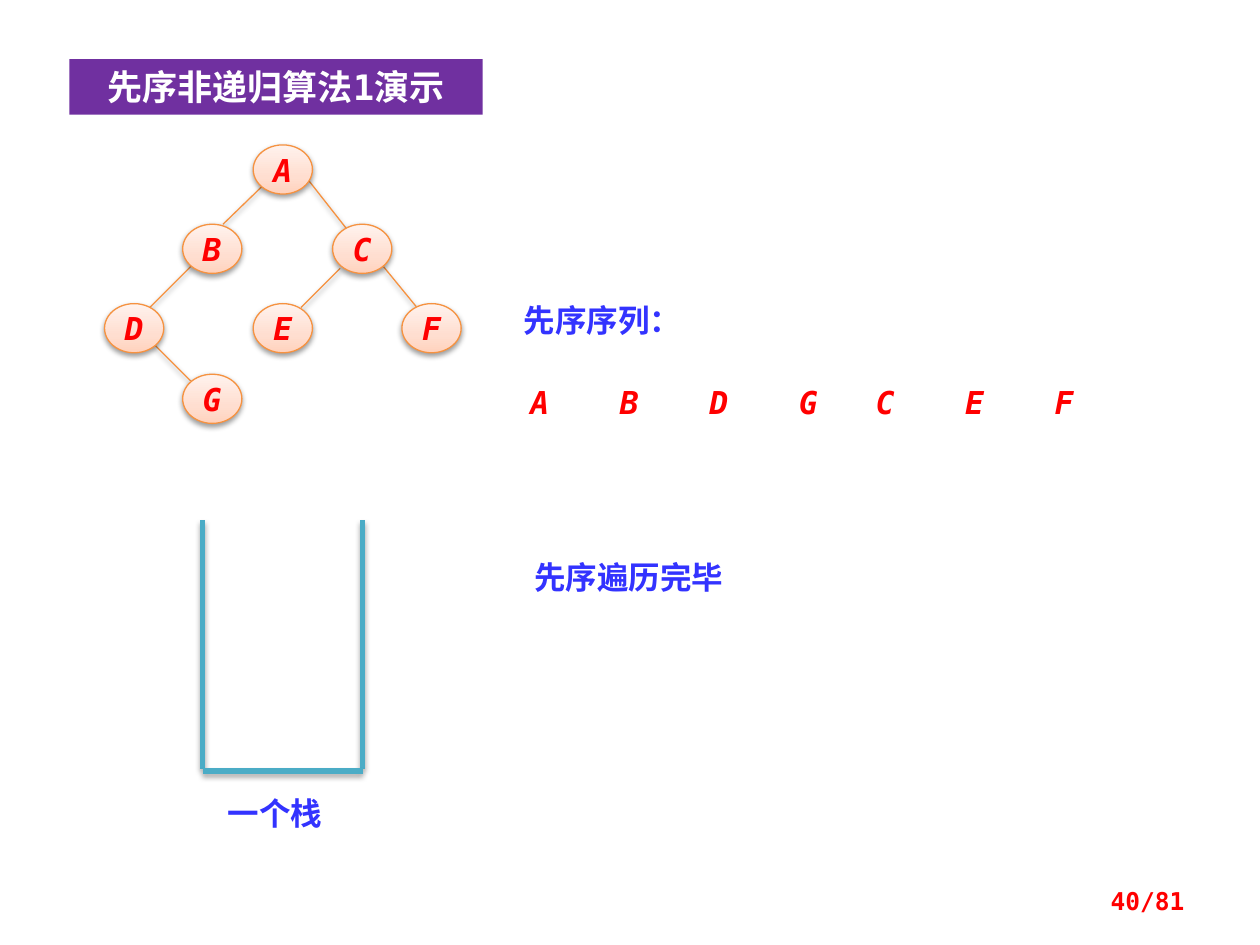
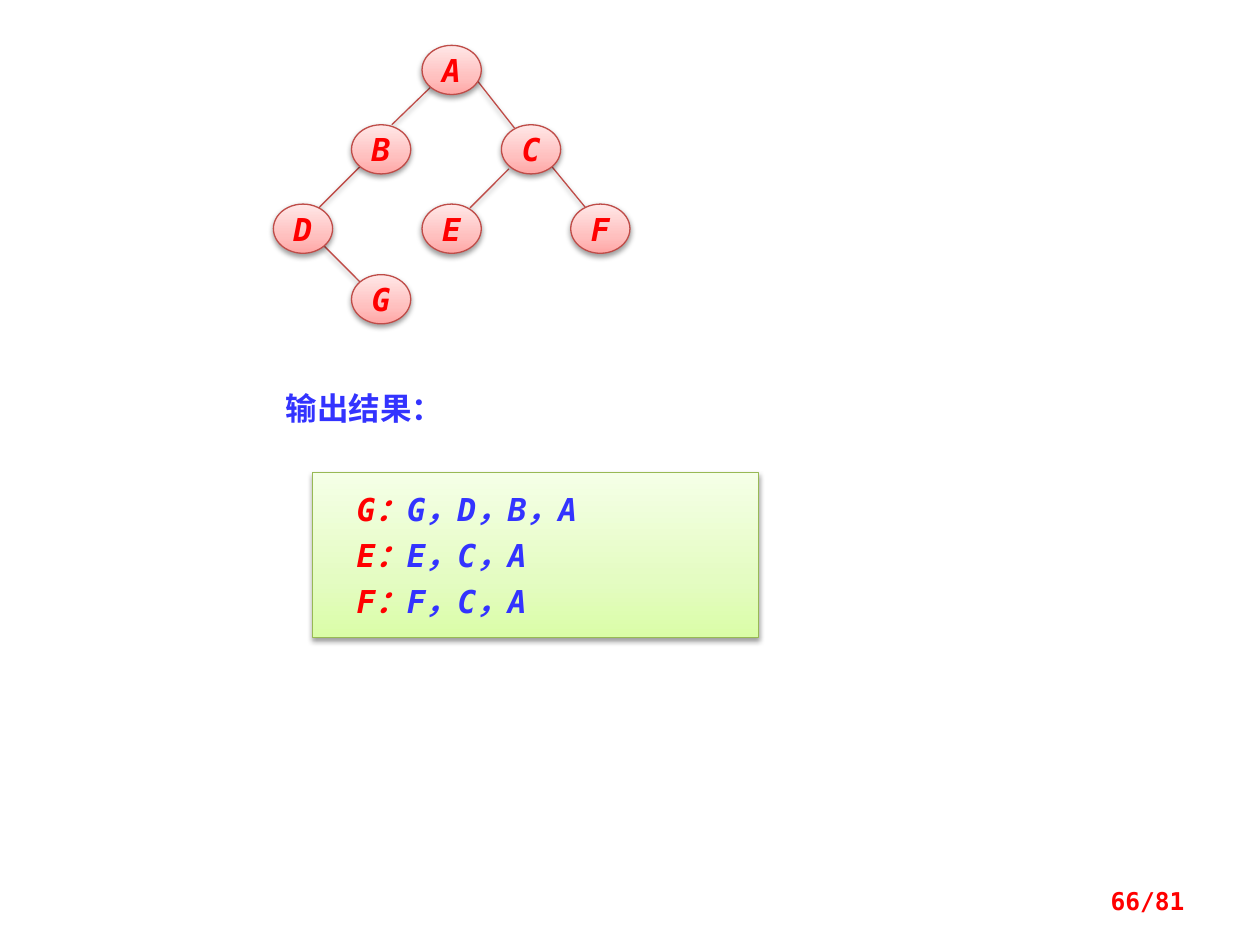
from dataclasses import dataclass

from lxml import etree
from pptx import Presentation
from pptx.dml.color import RGBColor
from pptx.enum.shapes import MSO_CONNECTOR, MSO_SHAPE
from pptx.enum.text import MSO_ANCHOR, PP_ALIGN
from pptx.oxml import parse_xml
from pptx.oxml.ns import nsdecls, qn
from pptx.util import Inches, Pt

LEFT, CENTER, RIGHT = PP_ALIGN.LEFT, PP_ALIGN.CENTER, PP_ALIGN.RIGHT
MIDDLE = MSO_ANCHOR.MIDDLE
STRAIGHT = MSO_CONNECTOR.STRAIGHT
OVAL, RECTANGLE = MSO_SHAPE.OVAL, MSO_SHAPE.RECTANGLE


@dataclass(frozen=True)
class Theme:
    latin: str = "DejaVu Sans Mono"
    chinese: str = "Noto Sans CJK SC"
    blue: str = "3333FF"
    red: str = "FF0000"
    white: str = "FFFFFF"
    purple: str = "7030A0"
    teal: str = "4BACC6"
    title_size: float = 20
    body_size: float = 18
    page_size: float = 14
    thin: float = 0.75
    thick: float = 3
    line_gap: float = 4.5


THEME = Theme()

# Outline, then gradient colours from bottom to top
ORANGE = ("F69240", ("FFD2BD", "FFDED0", "FFF2ED"))
ROSE = ("BF4C48", ("FFA6A5", "FFC0BF", "FFE7E7"))
GREEN = ("98B955", ("DAFDA7", "E4FCC2", "F5FFE7"))
GRADIENT_STOPS = (0, 35, 100)

# Tree nodes, placed relative to the root
NODE_SIZE = (0.47, 0.39)
NODES = {
    "A": (0, 0), "B": (-0.56, 0.63), "C": (0.63, 0.63), "D": (-1.18, 1.26),
    "E": (0, 1.26), "F": (1.18, 1.26), "G": (-0.56, 1.82),
}
# Parent, child, and where the edge meets each, from the node's top left
EDGES = [
    ("D", "G", (0.39, 0.32), (0.08, 0.07)),
    ("A", "B", (0.08, 0.32), (0.32, 0)),
    ("A", "C", (0.43, 0.27), (0.13, 0.06)),
    ("B", "D", (0.08, 0.32), (0.31, 0.08)),
    ("C", "E", (0.06, 0.35), (0.38, 0.03)),
    ("C", "F", (0.39, 0.32), (0.16, 0.08)),
]

TITLE = "先序非递归算法1演示"
TRAVERSAL_LABELS = [
    ("一个栈", (1.71, 6.25, 1.26, 0.4)),
    ("先序序列：", (4.06, 2.34, 1.89, 0.4)),
    ("先序遍历完毕", (4.14, 4.38, 2.99, 0.4)),
]
VISITED = [("ABDG", 4.05), ("CEF", 6.79)]
VISITED_TOP, VISITED_PITCH = 3.04, 0.71
STACK_LEFT, STACK_RIGHT, STACK_TOP, STACK_BOTTOM = 1.61, 2.88, 4.13, 6.12

RESULT_LABEL = ("输出结果：", (2.17, 3.04, 2.36, 0.4))
LEAF_PATHS = [("G：", "G，D，B，A"), ("E：", "E，C，A"), ("F：", "F，C，A")]


def box(values):
    return [Inches(value) for value in values]


def add_shadow(shape, alpha=38, distance=1.6):
    """Replace the inherited effect with a soft shadow straight below."""
    properties = shape._element.spPr
    for effects in properties.findall(qn("a:effectLst")):
        properties.remove(effects)
    properties.append(parse_xml(
        f'<a:effectLst {nsdecls("a")}><a:outerShdw blurRad="{Pt(3.1)}" '
        f'dist="{Pt(distance)}" dir="5400000" rotWithShape="0">'
        f'<a:srgbClr val="000000"><a:alpha val="{alpha * 1000}"/></a:srgbClr>'
        "</a:outerShdw></a:effectLst>"))


def set_line(shape, color, width):
    shape.line.color.rgb = RGBColor.from_string(color)
    shape.line.width = Pt(width)


def add_line(slide, start, end, color, width, **shadow):
    line = slide.shapes.add_connector(STRAIGHT, *box(start), *box(end))
    set_line(line, color, width)
    add_shadow(line, **shadow)


def add_gradient_shape(slide, kind, bounds, palette):
    outline, colors = palette
    shape = slide.shapes.add_shape(kind, *box(bounds))
    shape.fill.background()
    set_line(shape, outline, THEME.thin)
    stops = "".join(
        f'<a:gs pos="{stop * 1000}"><a:srgbClr val="{color}"/></a:gs>'
        for stop, color in zip(GRADIENT_STOPS, colors))
    properties = shape._element.spPr
    properties.replace(properties.find(qn("a:noFill")), parse_xml(
        f'<a:gradFill {nsdecls("a")} rotWithShape="1"><a:gsLst>{stops}</a:gsLst>'
        '<a:lin ang="16200000" scaled="0"/></a:gradFill>'))
    add_shadow(shape)
    return shape


def write(shape, paragraphs, size=THEME.body_size, align=LEFT, italic=False,
          wrap=True, margins=(0.1, 0.05)):
    """Fill a shape with paragraphs, each a list of (text, color) runs."""
    frame = shape.text_frame
    frame.word_wrap = wrap
    frame.vertical_anchor = MIDDLE
    frame.margin_left = frame.margin_right = Inches(margins[0])
    frame.margin_top = frame.margin_bottom = Inches(margins[1])
    for index, runs in enumerate(paragraphs):
        paragraph = frame.add_paragraph() if index else frame.paragraphs[0]
        paragraph.alignment = align
        if index:
            paragraph.space_before = Pt(THEME.line_gap)
        for text, color in runs:
            run = paragraph.add_run()
            run.text = text
            font = run.font
            font.size, font.bold, font.italic = Pt(size), True, italic
            font.color.rgb = RGBColor.from_string(color)
            font.name = THEME.latin
            etree.SubElement(run._r.rPr, qn("a:ea"), typeface=THEME.chinese)


def add_text(slide, text, bounds, color=THEME.blue, **style):
    write(slide.shapes.add_textbox(*box(bounds)), [[(text, color)]], **style)


def add_tree(slide, root, palette):
    corners = {name: (root[0] + x, root[1] + y) for name, (x, y) in NODES.items()}

    def joint(name, offset):
        return corners[name][0] + offset[0], corners[name][1] + offset[1]

    for parent, child, leave, arrive in EDGES:
        add_line(slide, joint(parent, leave), joint(child, arrive),
                 palette[0], THEME.thin)
    for name, corner in corners.items():
        node = add_gradient_shape(slide, OVAL, corner + NODE_SIZE, palette)
        write(node, [[(name, THEME.red)]], align=CENTER, italic=True, wrap=False)


def add_page_number(slide, number):
    add_text(slide, f"{number}/81", (7.17, 6.95, 2.33, 0.4), THEME.red,
             size=THEME.page_size, align=RIGHT)


def add_stack(slide):
    wall_end = STACK_BOTTOM - 0.02
    for start, end in [
        ((STACK_LEFT, STACK_TOP), (STACK_LEFT, wall_end)),
        ((STACK_RIGHT, STACK_TOP), (STACK_RIGHT, wall_end)),
        ((STACK_LEFT, STACK_BOTTOM), (STACK_RIGHT, STACK_BOTTOM)),
    ]:
        add_line(slide, start, end, THEME.teal, THEME.thick, alpha=35, distance=1.8)


def build_traversal(slide):
    add_tree(slide, (2.01, 1.15), ORANGE)
    add_stack(slide)
    for text, bounds in TRAVERSAL_LABELS:
        add_text(slide, text, bounds)
    for letters, left in VISITED:
        for index, letter in enumerate(letters):
            bounds = (left + index * VISITED_PITCH, VISITED_TOP, 0.47, 0.3)
            add_text(slide, letter, bounds, THEME.red, align=CENTER,
                     italic=True, margins=(0, 0))
    band = slide.shapes.add_shape(RECTANGLE, *box((0.55, 0.47, 3.28, 0.44)))
    band.fill.solid()
    band.fill.fore_color.rgb = RGBColor.from_string(THEME.purple)
    band.line.fill.background()
    band.shadow.inherit = False
    write(band, [[(TITLE, THEME.white)]], size=THEME.title_size, align=CENTER)
    add_page_number(slide, 40)


def build_leaf_paths(slide):
    add_tree(slide, (3.35, 0.36), ROSE)
    results = add_gradient_shape(slide, RECTANGLE, (2.48, 3.75, 3.54, 1.31), GREEN)
    write(results, [[(leaf, THEME.red), (ancestors, THEME.blue)]
                    for leaf, ancestors in LEAF_PATHS],
          italic=True, margins=(0.35, 0.05))
    add_text(slide, *RESULT_LABEL)
    add_page_number(slide, 66)


def main():
    deck = Presentation()
    deck.slide_width, deck.slide_height = Inches(10), Inches(7.5)
    for build in (build_traversal, build_leaf_paths):
        build(deck.slides.add_slide(deck.slide_layouts[6]))
    deck.save("out.pptx")


if __name__ == "__main__":
    main()
